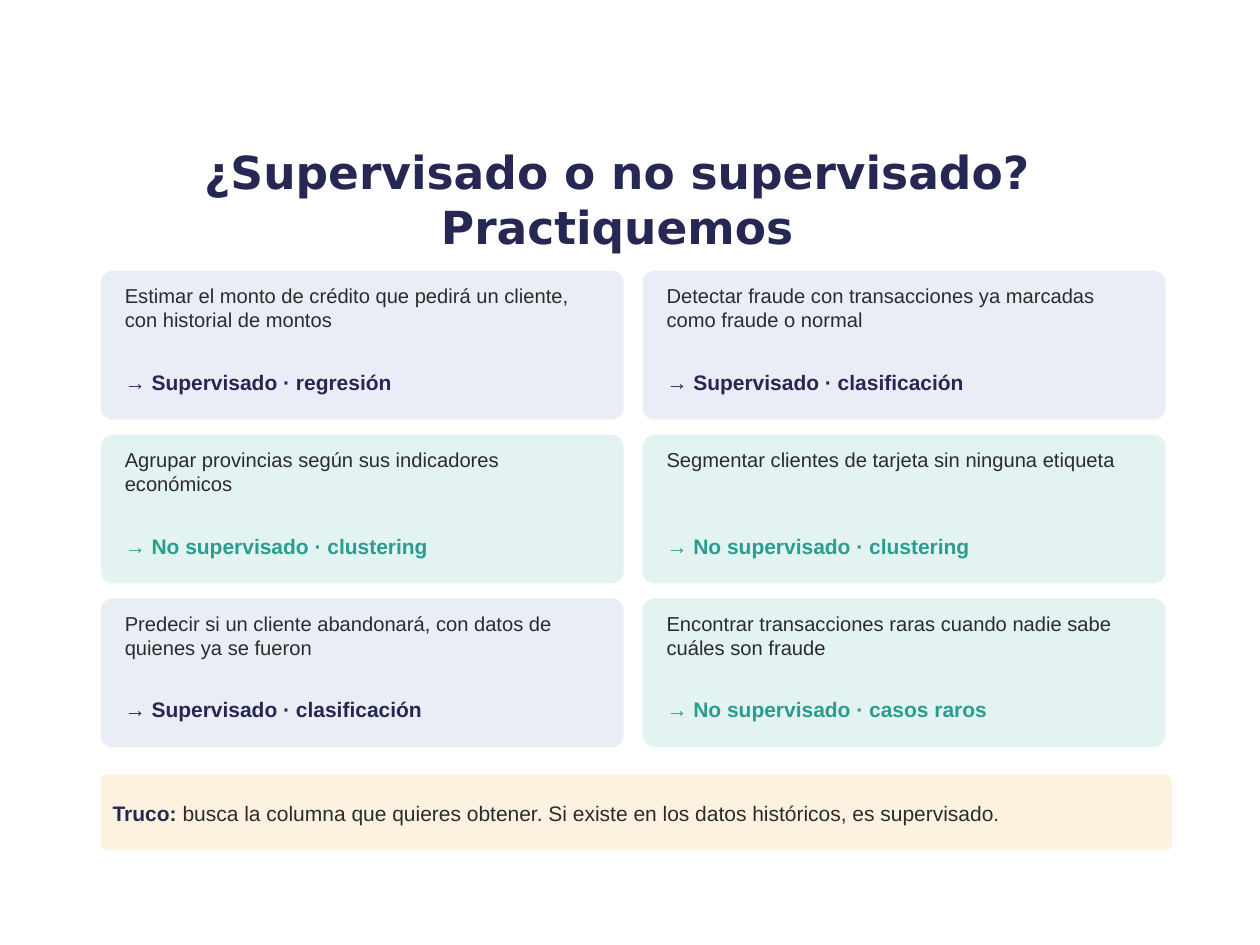
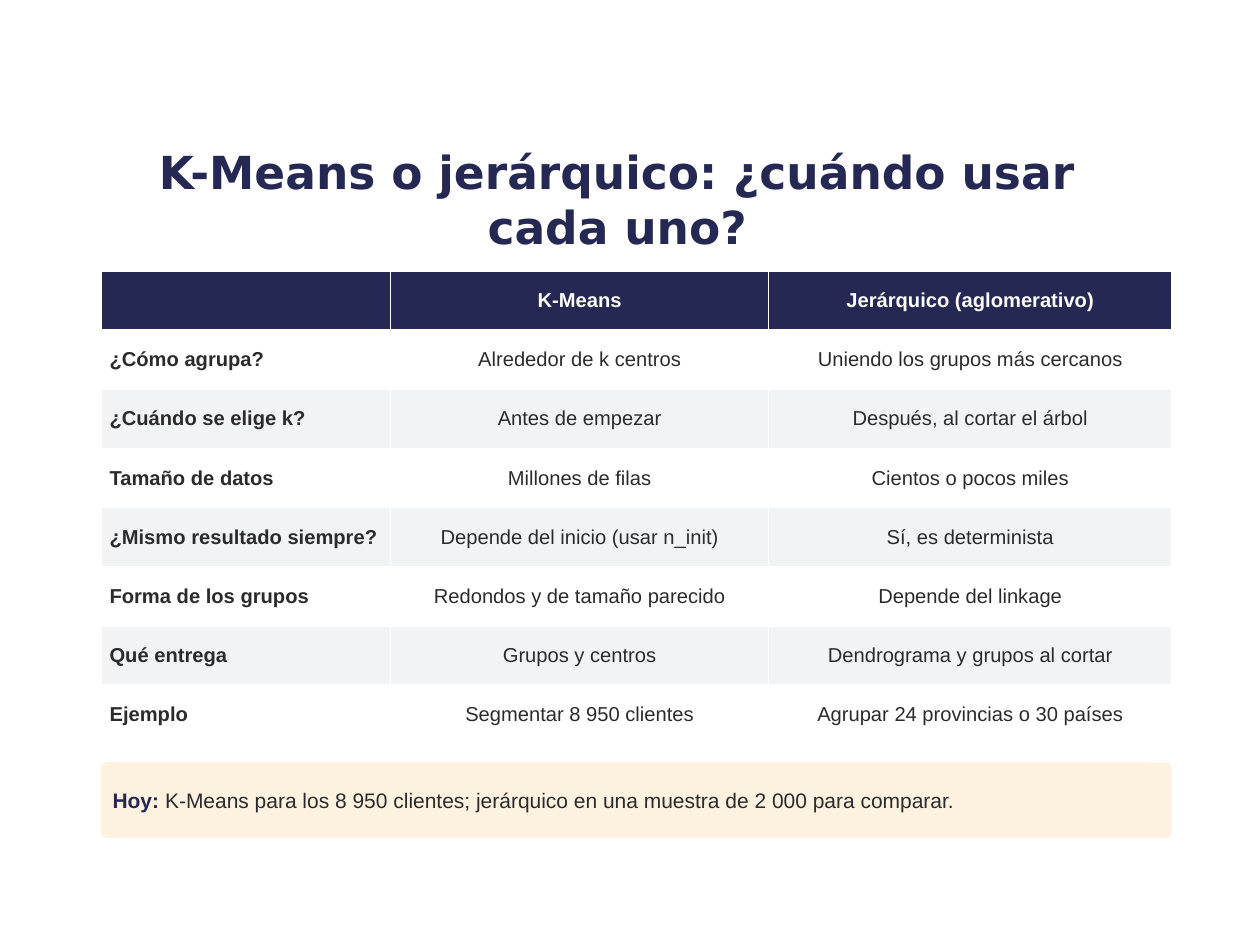
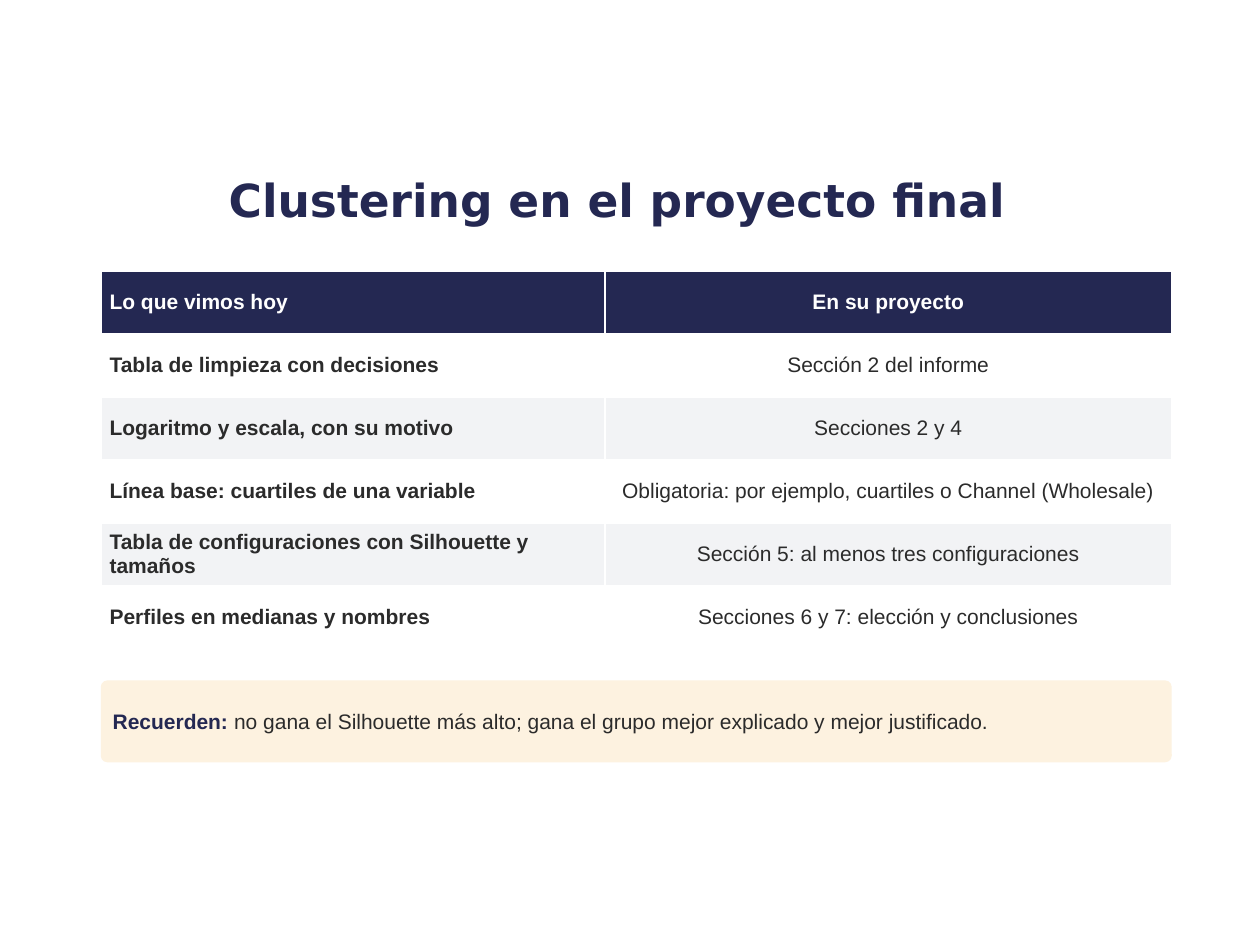
"""Build three slides on choosing and reporting clustering methods."""

from dataclasses import dataclass

from pptx import Presentation
from pptx.dml.color import RGBColor
from pptx.enum.shapes import MSO_SHAPE
from pptx.enum.text import MSO_ANCHOR, MSO_AUTO_SIZE, PP_ALIGN
from pptx.util import Inches, Pt

ROUNDED = MSO_SHAPE.ROUNDED_RECTANGLE
MIDDLE = MSO_ANCHOR.MIDDLE
LEFT, CENTER = PP_ALIGN.LEFT, PP_ALIGN.CENTER
NO_AUTOFIT = MSO_AUTO_SIZE.NONE
GROW = MSO_AUTO_SIZE.SHAPE_TO_FIT_TEXT
TITLE_ONLY = 5


@dataclass(frozen=True)
class Theme:
    navy: RGBColor = RGBColor.from_string("242852")
    teal: RGBColor = RGBColor.from_string("2A9D8F")
    ink: RGBColor = RGBColor.from_string("2B2B2B")
    white: RGBColor = RGBColor.from_string("FFFFFF")
    stripe: RGBColor = RGBColor.from_string("F2F3F5")
    blue_card: RGBColor = RGBColor.from_string("E8EDF6")
    teal_card: RGBColor = RGBColor.from_string("E3F3F1")
    note: RGBColor = RGBColor.from_string("FDF2E0")
    title_font: str = "DejaVu Sans"
    body_font: str = "Arial"
    title_size: float = 26
    body_size: float = 12
    small_size: float = 11.5


@dataclass(frozen=True)
class PracticeCase:
    situation: str
    answer: str
    supervised: bool


@dataclass(frozen=True)
class Comparison:
    header: tuple[str, ...]
    rows: tuple[tuple[str, ...], ...]
    column_widths: tuple[float, ...]
    row_height: float
    size: float
    header_label_align: PP_ALIGN = LEFT


@dataclass(frozen=True)
class Note:
    label: str
    message: str
    top: float
    height: float = 0.6


THEME = Theme()
CONTENT_LEFT, CONTENT_TOP, CONTENT_WIDTH = 0.8, 2.15, 8.5

CASES = (
    PracticeCase("Estimar el monto de crédito que pedirá un cliente, con historial de montos",
                 "→ Supervisado · regresión", True),
    PracticeCase("Detectar fraude con transacciones ya marcadas como fraude o normal",
                 "→ Supervisado · clasificación", True),
    PracticeCase("Agrupar provincias según sus indicadores económicos",
                 "→ No supervisado · clustering", False),
    PracticeCase("Segmentar clientes de tarjeta sin ninguna etiqueta",
                 "→ No supervisado · clustering", False),
    PracticeCase("Predecir si un cliente abandonará, con datos de quienes ya se fueron",
                 "→ Supervisado · clasificación", True),
    PracticeCase("Encontrar transacciones raras cuando nadie sabe cuáles son fraude",
                 "→ No supervisado · casos raros", False),
)

METHODS = Comparison(
    header=("", "K-Means", "Jerárquico (aglomerativo)"),
    rows=(
        ("¿Cómo agrupa?", "Alrededor de k centros", "Uniendo los grupos más cercanos"),
        ("¿Cuándo se elige k?", "Antes de empezar", "Después, al cortar el árbol"),
        ("Tamaño de datos", "Millones de filas", "Cientos o pocos miles"),
        ("¿Mismo resultado siempre?", "Depende del inicio (usar n_init)", "Sí, es determinista"),
        ("Forma de los grupos", "Redondos y de tamaño parecido", "Depende del linkage"),
        ("Qué entrega", "Grupos y centros", "Dendrograma y grupos al cortar"),
        ("Ejemplo", "Segmentar 8 950 clientes", "Agrupar 24 provincias o 30 países"),
    ),
    column_widths=(2.3, 3, 3.2),
    row_height=0.47,
    size=THEME.small_size,
)

PROJECT = Comparison(
    header=("Lo que vimos hoy", "En su proyecto"),
    rows=(
        ("Tabla de limpieza con decisiones", "Sección 2 del informe"),
        ("Logaritmo y escala, con su motivo", "Secciones 2 y 4"),
        ("Línea base: cuartiles de una variable",
         "Obligatoria: por ejemplo, cuartiles o Channel (Wholesale)"),
        ("Tabla de configuraciones con Silhouette y tamaños",
         "Sección 5: al menos tres configuraciones"),
        ("Perfiles en medianas y nombres", "Secciones 6 y 7: elección y conclusiones"),
    ),
    column_widths=(4, 4.5),
    row_height=0.5,
    size=THEME.body_size,
)


def add_run(paragraph, text: str, size: float, color: RGBColor, bold: bool = False,
            font_name: str = THEME.body_font) -> None:
    run = paragraph.add_run()
    run.text = text
    run.font.name = font_name
    run.font.size = Pt(size)
    run.font.bold = bold
    run.font.color.rgb = color


def set_margins(target, horizontal: float, vertical: float) -> None:
    target.margin_left = target.margin_right = Inches(horizontal)
    target.margin_top = target.margin_bottom = Inches(vertical)


def add_titled_slide(presentation, title: str):
    slide = presentation.slides.add_slide(presentation.slide_layouts[TITLE_ONLY])
    shape = slide.shapes.title
    shape.left, shape.top = Inches(0.75), Inches(1.18)
    shape.width, shape.height = Inches(8.3), Inches(0.8)
    frame = shape.text_frame
    frame.auto_size = NO_AUTOFIT
    frame.word_wrap = True
    frame.vertical_anchor = MIDDLE
    paragraph = frame.paragraphs[0]
    paragraph.alignment = CENTER
    add_run(paragraph, title, THEME.title_size, THEME.navy, True, THEME.title_font)
    return slide


def add_panel(slide, left: float, top: float, width: float, height: float, fill: RGBColor):
    shape = slide.shapes.add_shape(ROUNDED, Inches(left), Inches(top), Inches(width), Inches(height))
    shape.adjustments[0] = 0.08
    shape.shadow.inherit = False
    shape.fill.solid()
    shape.fill.fore_color.rgb = fill
    shape.line.fill.background()
    return shape


def add_text(slide, left: float, top: float, height: float, text: str, size: float,
             color: RGBColor, bold: bool = False) -> None:
    box = slide.shapes.add_textbox(Inches(left), Inches(top), Inches(3.85), Inches(height))
    frame = box.text_frame
    frame.word_wrap = True
    frame.auto_size = GROW
    set_margins(frame, 0.04, 0.04)
    paragraph = frame.paragraphs[0]
    paragraph.space_after = Pt(4)
    add_run(paragraph, text, size, color, bold)


def add_case_grid(slide, cases: tuple[PracticeCase, ...]) -> None:
    for index, case in enumerate(cases):
        row, column = divmod(index, 2)
        left = CONTENT_LEFT + column * 4.3
        top = CONTENT_TOP + row * 1.3
        fill = THEME.blue_card if case.supervised else THEME.teal_card
        accent = THEME.navy if case.supervised else THEME.teal
        add_panel(slide, left, top, 4.15, 1.18, fill)
        add_text(slide, left + 0.15, top + 0.06, 0.65, case.situation, THEME.small_size, THEME.ink)
        add_text(slide, left + 0.15, top + 0.74, 0.38, case.answer, THEME.body_size, accent, True)


def add_comparison(slide, comparison: Comparison) -> None:
    rows = (comparison.header, *comparison.rows)
    table = slide.shapes.add_table(
        len(rows), len(comparison.header), Inches(CONTENT_LEFT), Inches(CONTENT_TOP),
        Inches(CONTENT_WIDTH), Inches(comparison.row_height * len(rows))).table
    for column, width in zip(table.columns, comparison.column_widths):
        column.width = Inches(width)
    for row_index, texts in enumerate(rows):
        is_header = row_index == 0
        body_fill = THEME.white if row_index % 2 else THEME.stripe
        for column_index, text in enumerate(texts):
            cell = table.cell(row_index, column_index)
            cell.fill.solid()
            cell.fill.fore_color.rgb = THEME.navy if is_header else body_fill
            cell.vertical_anchor = MIDDLE
            set_margins(cell, 0.07, 0.03)
            if not text:
                continue
            paragraph = cell.text_frame.paragraphs[0]
            paragraph.alignment = CENTER if column_index else comparison.header_label_align
            add_run(paragraph, text, comparison.size, THEME.white if is_header else THEME.ink,
                    is_header or column_index == 0)


def add_note(slide, note: Note) -> None:
    shape = add_panel(slide, CONTENT_LEFT, note.top, CONTENT_WIDTH, note.height, THEME.note)
    frame = shape.text_frame
    frame.word_wrap = True
    frame.vertical_anchor = MIDDLE
    set_margins(frame, 0.08, 0.08)
    paragraph = frame.paragraphs[0]
    paragraph.alignment = LEFT
    paragraph.space_after = Pt(3)
    add_run(paragraph, f"{note.label} ", THEME.body_size, THEME.navy, True)
    add_run(paragraph, note.message, THEME.body_size, THEME.ink)


def main() -> None:
    presentation = Presentation()
    presentation.slide_width, presentation.slide_height = Inches(10), Inches(7.5)

    slide = add_titled_slide(presentation, "¿Supervisado o no supervisado? Practiquemos")
    add_case_grid(slide, CASES)
    add_note(slide, Note("Truco:", "busca la columna que quieres obtener. "
                         "Si existe en los datos históricos, es supervisado.", 6.15))

    slide = add_titled_slide(presentation, "K-Means o jerárquico: ¿cuándo usar cada uno?")
    add_comparison(slide, METHODS)
    add_note(slide, Note("Hoy:", "K-Means para los 8 950 clientes; "
                         "jerárquico en una muestra de 2 000 para comparar.", 6.05))

    slide = add_titled_slide(presentation, "Clustering en el proyecto final")
    add_comparison(slide, PROJECT)
    add_note(slide, Note("Recuerden:", "no gana el Silhouette más alto; "
                         "gana el grupo mejor explicado y mejor justificado.", 5.4, 0.65))

    presentation.save("out.pptx")


if __name__ == "__main__":
    main()
